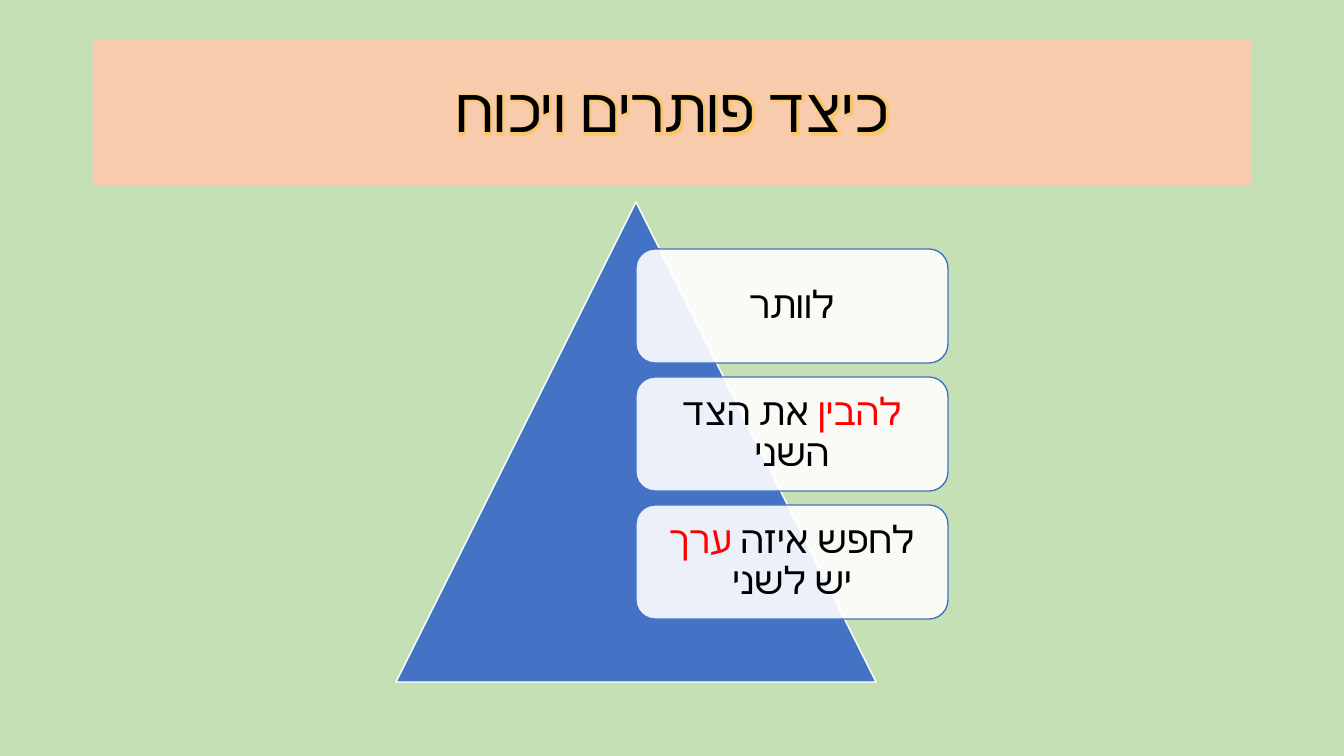
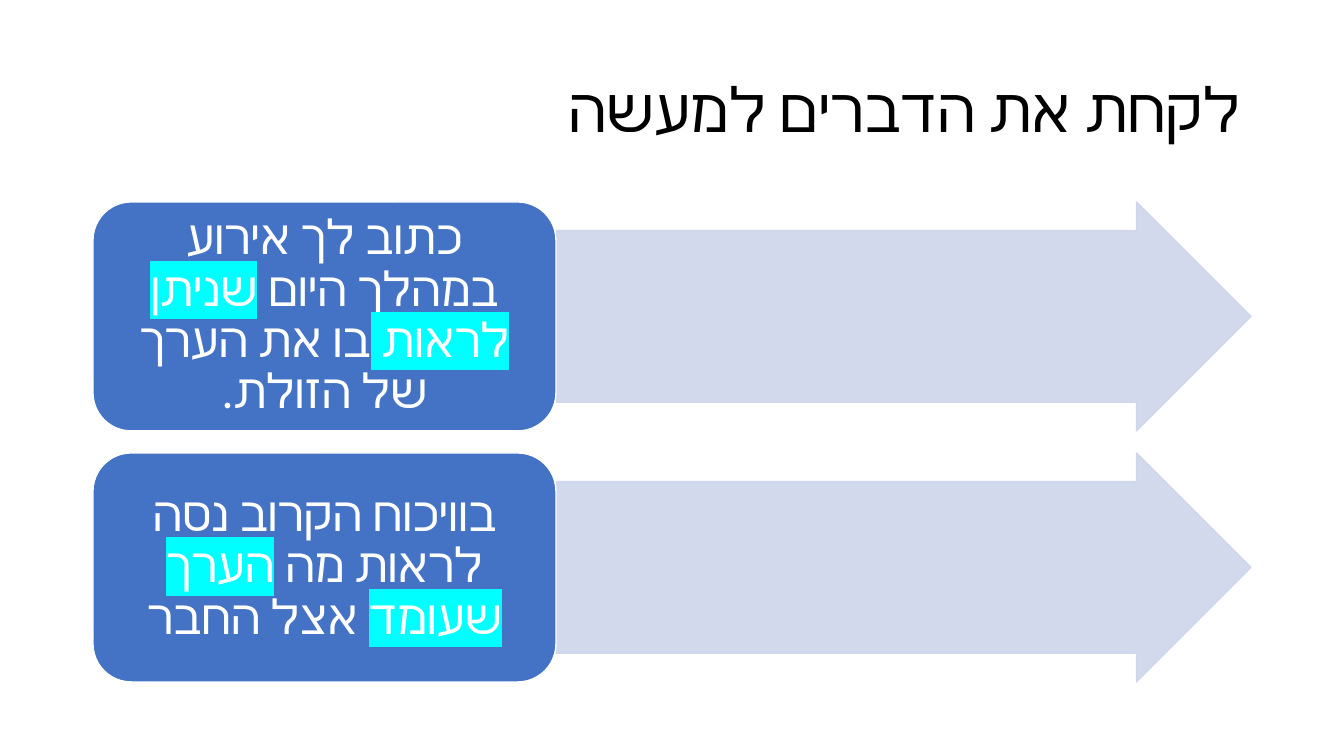
from lxml import etree
from pptx import Presentation
from pptx.dml.color import RGBColor
from pptx.enum.shapes import MSO_SHAPE
from pptx.enum.text import MSO_ANCHOR, PP_ALIGN
from pptx.oxml.ns import qn
from pptx.util import Emu, Pt

TRIANGLE = MSO_SHAPE.ISOSCELES_TRIANGLE
ROUNDED = MSO_SHAPE.ROUNDED_RECTANGLE
ARROW = MSO_SHAPE.RIGHT_ARROW
MIDDLE = MSO_ANCHOR.MIDDLE
CENTER, RIGHT = PP_ALIGN.CENTER, PP_ALIGN.RIGHT

FONT = "Calibri"
BLACK = RGBColor(0x00, 0x00, 0x00)
WHITE = RGBColor(0xFF, 0xFF, 0xFF)
RED = RGBColor(0xFF, 0x00, 0x00)
CYAN = RGBColor(0x00, 0xFF, 0xFF)
BLUE = RGBColor(0x44, 0x72, 0xC4)
PALE_BLUE = RGBColor(0xCF, 0xD5, 0xEA)
GREEN = RGBColor(0xC5, 0xE0, 0xB4)
PEACH = RGBColor(0xF8, 0xCB, 0xAD)
GOLD = RGBColor(0xFF, 0xC0, 0x00)

TITLE_ONLY = 5
SLIDE_WIDTH, SLIDE_HEIGHT = 1344, 756
MARGIN = 93
CONTENT_WIDTH = SLIDE_WIDTH - 2 * MARGIN
CONTENT_TOP = 202

# Runs are (text, text colour, highlight colour); None keeps the default
PYRAMID_CARDS = [
    [("לוותר", None, None)],
    [("להבין", RED, None), (" את הצד השני", None, None)],
    [("לחפש איזה ", None, None), ("ערך", RED, None), (" יש לשני", None, None)],
]
TASKS = [
    [("כתוב לך אירוע במהלך היום ", None, None), ("שניתן לראות ", None, CYAN),
     ("בו את הערך של הזולת.", None, None)],
    [("בוויכוח הקרוב נסה לראות מה ", None, None), ("הערך שעומד", None, CYAN),
     (" אצל החבר", None, None)],
]


def px(length):
    return Emu(round(length * 914400 / 100.8))


def add_color(parent, color, alpha=None):
    element = etree.SubElement(parent, qn("a:srgbClr"), val=str(color))
    if alpha is not None:
        etree.SubElement(element, qn("a:alpha"), val=str(alpha * 1000))


def fade(element, alpha=90):
    """Make every colour inside the element slightly transparent."""
    for color in element.iter(qn("a:srgbClr")):
        etree.SubElement(color, qn("a:alpha"), val=str(alpha * 1000))


def add_glow(run, color):
    effects = etree.SubElement(run._r.get_or_add_rPr(), qn("a:effectLst"))
    glow = etree.SubElement(effects, qn("a:glow"), rad=str(Pt(5)))
    add_color(glow, color, 40)


def write_runs(paragraph, runs, size, color, alignment):
    """Fill a right-to-left paragraph."""
    paragraph.alignment = alignment
    paragraph.line_spacing = 0.9
    properties = paragraph._p.get_or_add_pPr()
    properties.set("rtl", "1")
    font = paragraph.font
    font.name, font.size, font.color.rgb = FONT, Pt(size), color
    latin = properties.find(qn("a:defRPr")).find(qn("a:latin"))
    latin.addnext(latin.makeelement(qn("a:cs"), {"typeface": FONT}))
    for text, run_color, highlight in runs:
        run = paragraph.add_run()
        run.text = text
        if run_color is not None:
            run.font.color.rgb = run_color
        if highlight is not None:
            add_color(etree.SubElement(run._r.get_or_add_rPr(), qn("a:highlight")), highlight)


def add_slide(presentation, background, title, alignment):
    slide = presentation.slides.add_slide(presentation.slide_layouts[TITLE_ONLY])
    slide.background.fill.solid()
    slide.background.fill.fore_color.rgb = background
    placeholder = slide.shapes.title
    placeholder.left, placeholder.top = px(MARGIN), px(40)
    placeholder.width, placeholder.height = px(CONTENT_WIDTH), px(146)
    placeholder.text_frame.vertical_anchor = MIDDLE
    write_runs(placeholder.text_frame.paragraphs[0], [(title, None, None)], 44, BLACK, alignment)
    return slide


def add_shape(slide, kind, left, top, width, height, fill, line):
    shape = slide.shapes.add_shape(kind, px(left), px(top), px(width), px(height))
    shape.shadow.inherit = False
    shape.fill.solid()
    shape.fill.fore_color.rgb = fill
    shape.line.color.rgb = line
    shape.line.width = Pt(1)
    return shape


def write_card(card, runs, size, color, inset_x, inset_y):
    frame = card.text_frame
    frame.word_wrap = True
    frame.vertical_anchor = MIDDLE
    frame.margin_left = frame.margin_right = px(inset_x)
    frame.margin_top = frame.margin_bottom = px(inset_y)
    write_runs(frame.paragraphs[0], runs, size, color, CENTER)


def build_pyramid_slide(presentation):
    slide = add_slide(presentation, GREEN, "כיצד פותרים ויכוח", CENTER)
    title = slide.shapes.title
    title.fill.solid()
    title.fill.fore_color.rgb = PEACH
    add_glow(title.text_frame.paragraphs[0].runs[0], GOLD)

    # Triangle with cards starting at its axis
    side = 480
    left = 396
    add_shape(slide, TRIANGLE, left, CONTENT_TOP, side, side, BLUE, WHITE)
    for row, runs in enumerate(PYRAMID_CARDS):
        card = add_shape(slide, ROUNDED, left + side // 2, 249 + row * 128, 312, 114, WHITE, BLUE)
        fade(card._element.spPr.find(qn("a:solidFill")))
        write_card(card, runs, 27, BLACK, 11, 11)


def build_tasks_slide(presentation):
    slide = add_slide(presentation, WHITE, "לקחת את הדברים למעשה", RIGHT)

    # Each row: a card, then an arrow filling the remaining width
    card_width, height, gap = 463, 229, 22
    for row, runs in enumerate(TASKS):
        top = CONTENT_TOP + row * (height + gap)
        arrow = add_shape(slide, ARROW, MARGIN + card_width, top,
                          CONTENT_WIDTH - card_width, height, PALE_BLUE, PALE_BLUE)
        arrow.adjustments[0] = 0.75
        fade(arrow._element.spPr)
        card = add_shape(slide, ROUNDED, MARGIN, top, card_width, height, BLUE, WHITE)
        write_card(card, runs, 34, WHITE, 14, 7)


def main():
    presentation = Presentation()
    presentation.slide_width = px(SLIDE_WIDTH)
    presentation.slide_height = px(SLIDE_HEIGHT)
    build_pyramid_slide(presentation)
    build_tasks_slide(presentation)
    presentation.save("out.pptx")


if __name__ == "__main__":
    main()
